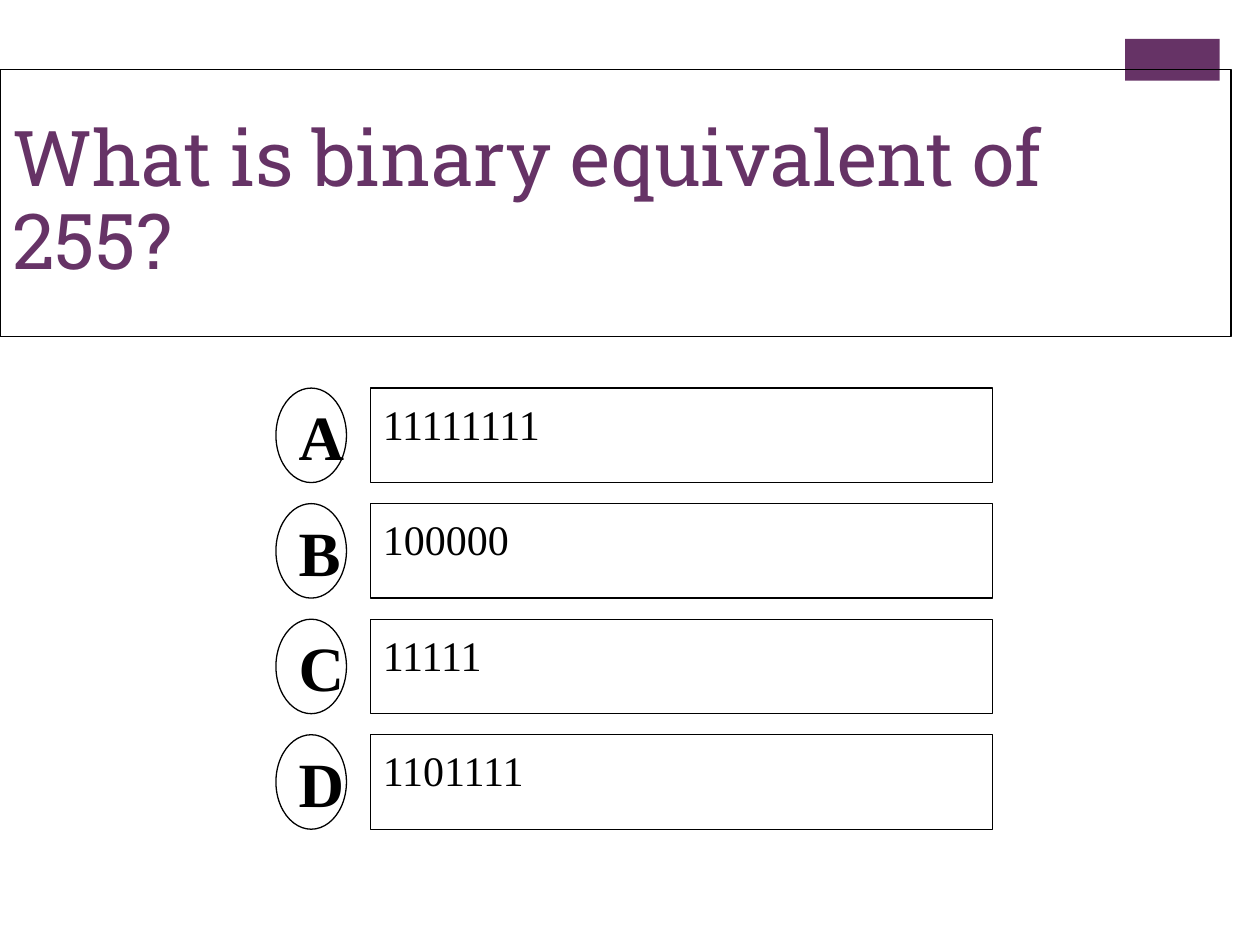
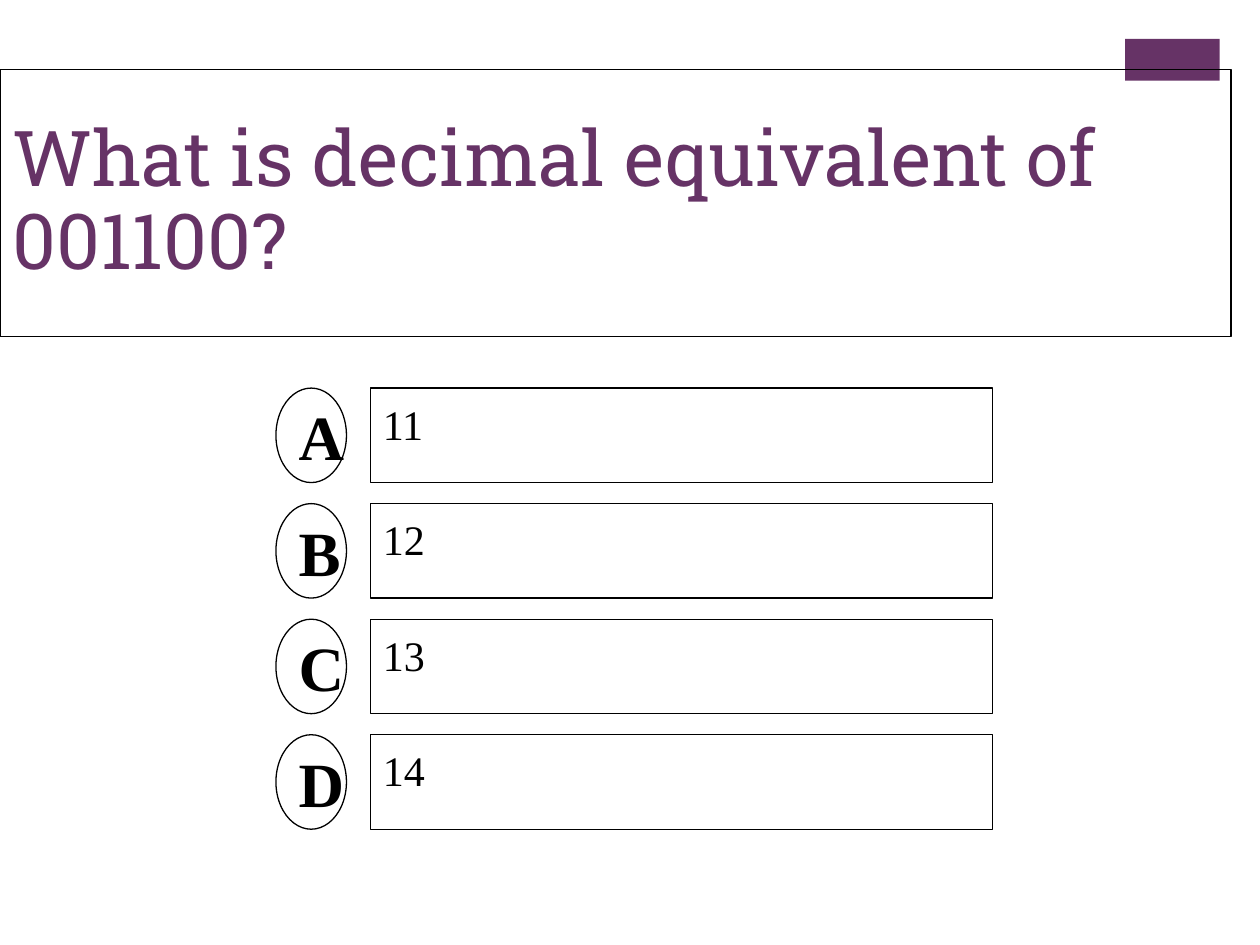
from dataclasses import dataclass

import pptx
import pptx.dml.color
import pptx.enum.shapes
import pptx.enum.text
import pptx.util

Inches = pptx.util.Inches
Pt = pptx.util.Pt
RGB = pptx.dml.color.RGBColor
Shape = pptx.enum.shapes.MSO_SHAPE
Anchor = pptx.enum.text.MSO_ANCHOR


@dataclass(frozen=True)
class TextStyle:
    font: str
    size: int
    color: RGB
    bold: bool = False
    anchor: Anchor = Anchor.MIDDLE
    wrap: bool = False
    line_spacing: float = 1.0
    margin_top: float = 0.05


@dataclass(frozen=True)
class Theme:
    accent: RGB = RGB(0x66, 0x33, 0x66)
    ink: RGB = RGB(0, 0, 0)
    paper: RGB = RGB(0xFF, 0xFF, 0xFF)
    outline: float = 0.75
    title: TextStyle = TextStyle("Roboto Slab", 44, accent, wrap=True, line_spacing=0.9)
    letter: TextStyle = TextStyle("Times New Roman", 36, ink, bold=True)
    answer: TextStyle = TextStyle("Times New Roman", 24, ink, anchor=Anchor.TOP, margin_top=0.08)


@dataclass(frozen=True)
class Box:
    left: float
    top: float
    width: float
    height: float


@dataclass(frozen=True)
class Question:
    title: str
    answers: tuple[str, ...]


THEME = Theme()
TAB = Box(8.93, 0.31, 0.75, 0.33)
TITLE = Box(0, 0.55, 9.77, 2.12)
ROW_TOP, ROW_PITCH, ROW_HEIGHT = 3.08, 0.917, 0.75
LETTER_LEFT, LETTER_WIDTH = 2.19, 0.56
ANSWER_LEFT, ANSWER_WIDTH = 2.94, 4.94

QUESTIONS = (
    Question("What is binary equivalent of 255?", ("11111111", "100000", "11111", "1101111")),
    Question("What is decimal equivalent of 001100?", ("11", "12", "13", "14")),
)


def add_box(slide, kind: Shape, box: Box, fill: RGB | None = None, line: RGB | None = None):
    sp = slide.shapes.add_shape(
        kind, Inches(box.left), Inches(box.top), Inches(box.width), Inches(box.height)
    )
    sp.shadow.inherit = False
    if fill is None:
        sp.fill.background()
    else:
        sp.fill.solid()
        sp.fill.fore_color.rgb = fill
    if line is None:
        sp.line.fill.background()
    else:
        sp.line.color.rgb = line
        sp.line.width = Pt(THEME.outline)
    return sp


def write(sp, text: str, style: TextStyle) -> None:
    tf = sp.text_frame
    tf.word_wrap = style.wrap
    tf.vertical_anchor = style.anchor
    tf.margin_top = Inches(style.margin_top)
    p = tf.paragraphs[0]
    p.text = text
    p.alignment = pptx.enum.text.PP_ALIGN.LEFT
    p.line_spacing = style.line_spacing
    p.font.name = style.font
    p.font.size = Pt(style.size)
    p.font.bold = style.bold
    p.font.color.rgb = style.color


def add_answer(slide, row: int, letter: str, answer: str) -> None:
    top = ROW_TOP + row * ROW_PITCH
    letter_box = Box(LETTER_LEFT, top, LETTER_WIDTH, ROW_HEIGHT)
    write(add_box(slide, Shape.OVAL, letter_box, line=THEME.ink), letter, THEME.letter)
    answer_box = Box(ANSWER_LEFT, top, ANSWER_WIDTH, ROW_HEIGHT)
    sp = add_box(slide, Shape.RECTANGLE, answer_box, THEME.paper, THEME.ink)
    write(sp, answer, THEME.answer)


def add_question(prs, question: Question) -> None:
    slide = prs.slides.add_slide(prs.slide_layouts[6])
    add_box(slide, Shape.RECTANGLE, TAB, fill=THEME.accent)
    title = add_box(slide, Shape.RECTANGLE, TITLE, line=THEME.ink)
    write(title, question.title, THEME.title)
    for row, (letter, answer) in enumerate(zip("ABCD", question.answers)):
        add_answer(slide, row, letter, answer)


def main() -> None:
    prs = pptx.Presentation()
    prs.slide_width, prs.slide_height = Inches(10), Inches(7.5)
    for question in QUESTIONS:
        add_question(prs, question)
    prs.save("out.pptx")


if __name__ == "__main__":
    main()
